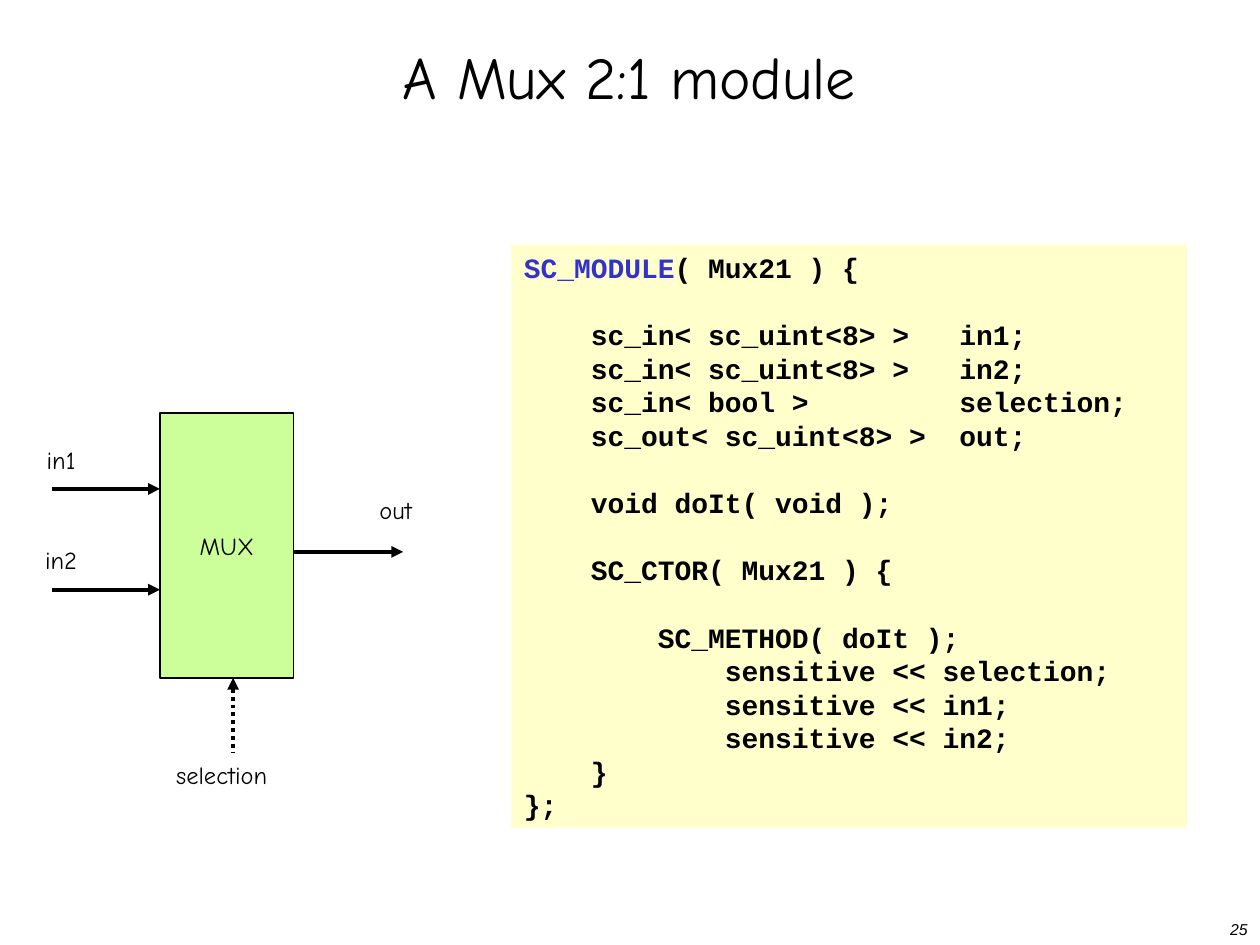
from dataclasses import dataclass
from pptx import Presentation
from pptx.dml.color import RGBColor
from pptx.enum.dml import MSO_LINE
from pptx.enum.shapes import MSO_CONNECTOR, MSO_SHAPE
from pptx.enum.text import MSO_ANCHOR, PP_ALIGN
from pptx.oxml.ns import qn
from pptx.util import Inches, Pt
from lxml import etree

RECT = MSO_SHAPE.RECTANGLE
LINE = MSO_CONNECTOR.STRAIGHT
DOTS = MSO_LINE.ROUND_DOT
TOP, MIDDLE = MSO_ANCHOR.TOP, MSO_ANCHOR.MIDDLE
LEFT, CENTER, RIGHT = PP_ALIGN.LEFT, PP_ALIGN.CENTER, PP_ALIGN.RIGHT


@dataclass(frozen=True)
class Theme:
    """Colours, fonts and type sizes of the slide."""
    ink: RGBColor = RGBColor(0, 0, 0)
    key: RGBColor = RGBColor(0x33, 0x33, 0xCC)
    paper: RGBColor = RGBColor(0xFF, 0xFF, 0xCC)
    block: RGBColor = RGBColor(0xCC, 0xFF, 0x99)
    hand: str = "Comic Neue"
    mono: str = "Courier New"
    sans: str = "Arial"
    head: Pt = Pt(34)
    code: Pt = Pt(16)
    pitch: Pt = Pt(19.2)
    label: Pt = Pt(14)
    foot: Pt = Pt(9)
    edge: Pt = Pt(1)
    wire: Pt = Pt(2.25)


THEME = Theme()
KEYWORD = "SC_MODULE"
CODE = """SC_MODULE( Mux21 ) {

    sc_in< sc_uint<8> >   in1;
    sc_in< sc_uint<8> >   in2;
    sc_in< bool >         selection;
    sc_out< sc_uint<8> >  out;

    void doIt( void );

    SC_CTOR( Mux21 ) {

        SC_METHOD( doIt );
            sensitive << selection;
            sensitive << in1;
            sensitive << in2;
    }
};"""


def style(para, face, size, align=LEFT):
    """Set the font and alignment of a paragraph."""
    para.alignment = align
    para.font.name, para.font.size = face, size
    para.font.color.rgb = THEME.ink


def write(shape, text, face, size, align, anchor=TOP, wrap=True):
    """Put one styled paragraph into a shape and return it."""
    frame = shape.text_frame
    frame.word_wrap, frame.vertical_anchor = wrap, anchor
    para = frame.paragraphs[0]
    para.text = text
    style(para, face, size, align)
    return para


def add_rect(shapes, box, fill):
    """Add a flat filled rectangle without an outline."""
    rect = shapes.add_shape(RECT, *map(Inches, box))
    rect.shadow.inherit = False
    rect.fill.solid()
    rect.fill.fore_color.rgb = fill
    rect.line.fill.background()
    return rect


def add_wire(shapes, start, stop, end="a:tailEnd", dash=None):
    """Add a wire with an arrowhead at the named end."""
    wire = shapes.add_connector(LINE, *map(Inches, (*start, *stop)))
    wire.line.width = THEME.wire
    wire.line.color.rgb = THEME.ink
    if dash:
        wire.line.dash_style = dash
    etree.SubElement(wire.line._get_or_add_ln(), qn(end), type="triangle")
    etree.SubElement(wire._element.spPr, qn("a:effectLst"))


def add_label(shapes, text, box):
    """Add a centred one-line label that uses the full width of its box."""
    label = shapes.add_textbox(*map(Inches, box))
    frame = label.text_frame
    frame.margin_left = frame.margin_right = 0
    write(label, text, THEME.hand, THEME.label, CENTER, wrap=False)


def add_title(slide, box):
    """Move and fill the title placeholder."""
    title = slide.shapes.title
    title.left, title.top, title.width, title.height = map(Inches, box)
    para = write(title, "A Mux 2:1 module", THEME.hand, THEME.head, CENTER, MIDDLE)
    para.line_spacing = 0.8


def add_code(slide, box):
    """Add the code panel, one paragraph for each written line."""
    panel = add_rect(slide.shapes, box, THEME.paper)
    frame = panel.text_frame
    frame.word_wrap, frame.vertical_anchor = True, TOP
    para, gap = frame.paragraphs[0], False
    for line in CODE.split("\n"):
        if not line:
            gap = True
            continue
        if para.runs:
            para = frame.add_paragraph()
        style(para, THEME.mono, THEME.code)
        para.font.bold = True
        para.line_spacing = THEME.pitch
        if gap:
            para.space_before = THEME.pitch
        if line.startswith(KEYWORD):
            run = para.add_run()
            run.text = KEYWORD
            run.font.color.rgb = THEME.key
            line = line.removeprefix(KEYWORD)
        para.add_run().text = line
        gap = False


def add_mux(slide, box):
    """Add the mux block with its wires and labels around the given box."""
    x, y, wide, high = box
    right, base = x + wide, y + high
    shapes = slide.shapes.add_group_shape().shapes
    block = add_rect(shapes, box, THEME.block)
    block.line.color.rgb = THEME.ink
    block.line.width = THEME.edge
    write(block, "MUX", THEME.hand, THEME.label, CENTER, MIDDLE, False)
    add_wire(shapes, (right, y + 1.1), (right + 0.87, y + 1.1))
    for drop in (0.6, 1.4):
        add_wire(shapes, (x - 0.86, y + drop), (x, y + drop))
    add_wire(shapes, (x + 0.58, base), (x + 0.58, base + 0.59), "a:headEnd", DOTS)
    labels = (
        ("in1", x - 1, y + 0.2, 0.43),
        ("in2", x - 1.01, y + 1, 0.45),
        ("selection", x + 0.03, base + 0.6, 0.92),
        ("out", right + 0.58, y + 0.6, 0.46),
    )
    for text, left, top, width in labels:
        add_label(shapes, text, (left, top, width, 0.34))


def add_page(slide, box):
    """Add the page number."""
    page = slide.shapes.add_textbox(*map(Inches, box))
    write(page, "25", THEME.sans, THEME.foot, RIGHT).font.italic = True


def main():
    """Build and save the slide."""
    deck = Presentation()
    deck.slide_width, deck.slide_height = Inches(10), Inches(7.5)
    slide = deck.slides.add_slide(deck.slide_layouts[5])
    add_title(slide, (0.32, 0.25, 9.35, 0.8))
    add_code(slide, (4.06, 1.94, 5.36, 4.63))
    add_mux(slide, (1.27, 3.28, 1.06, 2.1))
    add_page(slide, (7.25, 7.25, 2.75, 0.25))
    deck.save("out.pptx")


if __name__ == "__main__":
    main()
